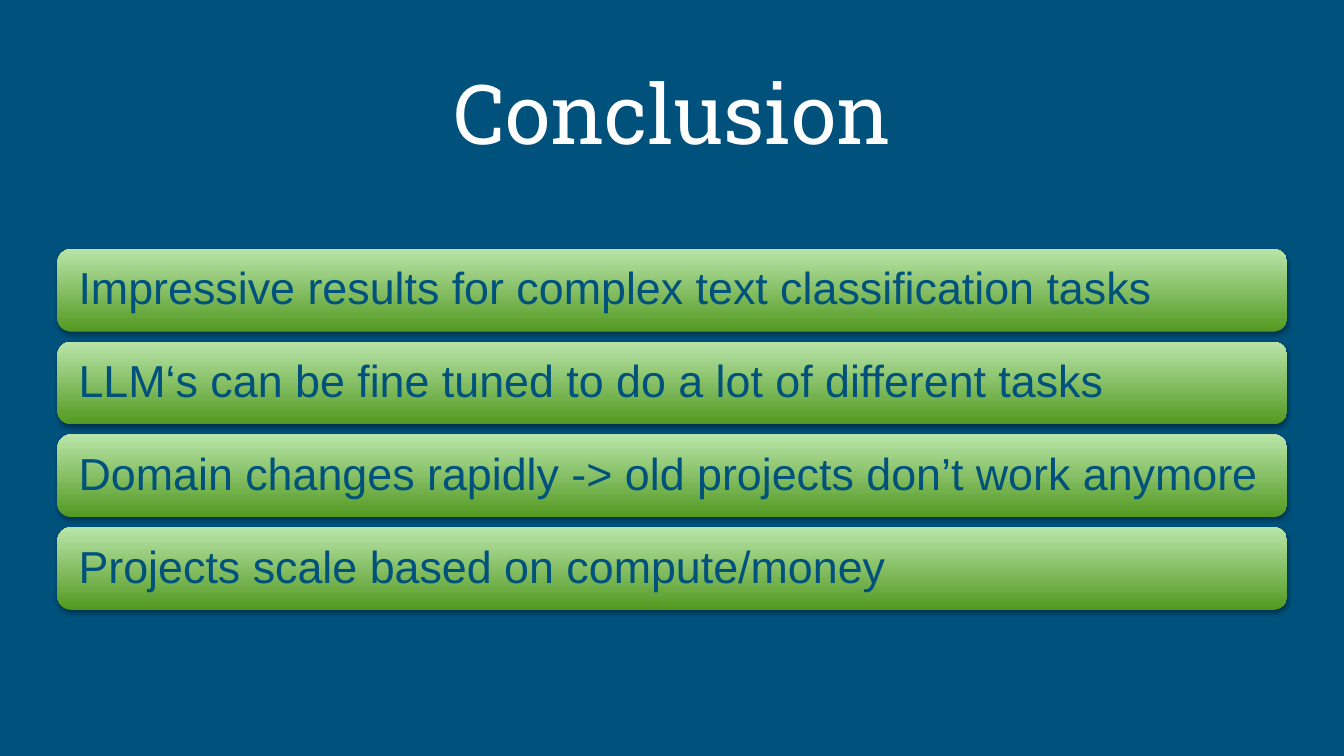
from dataclasses import dataclass

from lxml.etree import SubElement
from pptx import Presentation
from pptx.dml.color import RGBColor
from pptx.enum.shapes import MSO_SHAPE
from pptx.enum.text import MSO_ANCHOR, MSO_AUTO_SIZE, PP_ALIGN
from pptx.oxml.ns import qn
from pptx.shapes.autoshape import Shape
from pptx.slide import Slide
from pptx.util import Pt

BLUE = RGBColor(0x00, 0x51, 0x7C)
WHITE = RGBColor(0xFF, 0xFF, 0xFF)
DARK = RGBColor(0x53, 0x99, 0x21)
LIGHT = RGBColor(0xB9, 0xE5, 0xA9)

LEFT, WIDTH = 41.04, 878.4
TOP, HEIGHT, STEP = 177.84, 59.04, 66.24


@dataclass(frozen=True)
class Bar:
    text: str
    top: float


POINTS = (
    "Impressive results for complex text classification tasks",
    "LLM‘s can be fine tuned to do a lot of different tasks",
    "Domain changes rapidly -> old projects don’t work anymore",
    "Projects scale based on compute/money",
)
BARS = [Bar(text, TOP + row * STEP) for row, text in enumerate(POINTS)]


def write(shape: Shape, text: str, *, font: str, size: float, color: RGBColor,
          align: PP_ALIGN, side: float, edge: float) -> None:
    frame = shape.text_frame
    frame.word_wrap = True
    frame.auto_size = MSO_AUTO_SIZE.NONE
    frame.vertical_anchor = MSO_ANCHOR.MIDDLE
    frame.margin_left = frame.margin_right = Pt(side)
    frame.margin_top = frame.margin_bottom = Pt(edge)
    para = frame.paragraphs[0]
    para.alignment = align
    para.line_spacing = 0.9
    run = para.add_run()
    run.text = text
    run.font.name = font
    run.font.size = Pt(size)
    run.font.color.rgb = color


def shade(shape: Shape) -> None:
    shape.shadow.inherit = False
    effects = shape._element.spPr.find(qn("a:effectLst"))
    outer = SubElement(effects, qn("a:outerShdw"), blurRad=str(Pt(3.1)),
                       dist=str(Pt(1.8)), dir="5400000", rotWithShape="0")
    color = SubElement(outer, qn("a:srgbClr"), val="000000")
    SubElement(color, qn("a:alpha"), val="35000")


def draw_bar(slide: Slide, bar: Bar) -> None:
    shape = slide.shapes.add_shape(MSO_SHAPE.ROUNDED_RECTANGLE, Pt(LEFT),
                                   Pt(bar.top), Pt(WIDTH), Pt(HEIGHT))
    shape.line.fill.background()
    shape.fill.gradient()
    shape.fill.gradient_angle = 90
    for stop, color in zip(shape.fill.gradient_stops, (DARK, LIGHT)):
        stop.color.rgb = color
    shade(shape)
    write(shape, bar.text, font="Arial", size=32, color=BLUE,
          align=PP_ALIGN.LEFT, side=12.24, edge=9.36)


def draw_title(slide: Slide) -> None:
    title = slide.shapes.title
    title.left, title.top = Pt(LEFT), Pt(48.24)
    title.width, title.height = Pt(WIDTH), Pt(72)
    write(title, "Conclusion", font="Roboto Slab", size=59, color=WHITE,
          align=PP_ALIGN.CENTER, side=7.2, edge=3.6)


def main() -> None:
    deck = Presentation()
    deck.slide_width, deck.slide_height = Pt(960), Pt(540)
    slide = deck.slides.add_slide(deck.slide_layouts[5])
    slide.background.fill.solid()
    slide.background.fill.fore_color.rgb = BLUE
    draw_title(slide)
    for bar in BARS:
        draw_bar(slide, bar)
    deck.save("out.pptx")


if __name__ == "__main__":
    main()
